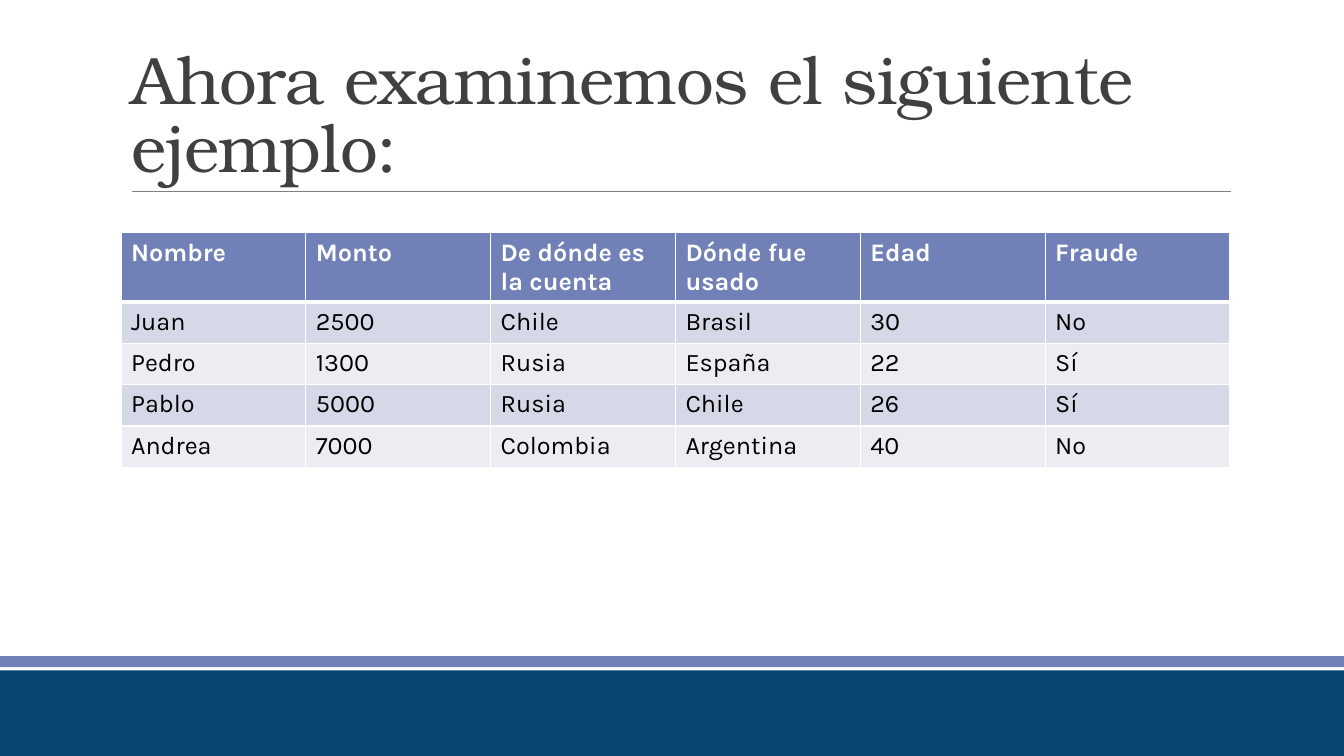
from dataclasses import dataclass

from lxml.etree import SubElement
from pptx import Presentation
from pptx.dml.color import RGBColor
from pptx.enum.shapes import MSO_CONNECTOR, MSO_SHAPE
from pptx.enum.text import MSO_ANCHOR, MSO_AUTO_SIZE, PP_ALIGN
from pptx.oxml.ns import qn
from pptx.util import Inches, Pt

TITLE = "Ahora examinemos el siguiente ejemplo:"
HEADERS = ["Nombre", "Monto", "De dónde es la cuenta", "Dónde fue usado", "Edad", "Fraude"]
TRANSACTIONS = [
    ["Juan", "2500", "Chile", "Brasil", "30", "No"],
    ["Pedro", "1300", "Rusia", "España", "22", "Sí"],
    ["Pablo", "5000", "Rusia", "Chile", "26", "Sí"],
    ["Andrea", "7000", "Colombia", "Argentina", "40", "No"],
]


@dataclass(frozen=True)
class Theme:
    heading_font: str = "TeX Gyre Bonum"
    body_font: str = "Karla"
    title_size: int = 48
    table_size: int = 18
    title: str = "404040"
    text: str = "000000"
    white: str = "FFFFFF"
    rule: str = "808080"
    accent: str = "7181B8"
    footer: str = "094571"
    bands: tuple = ("D5D8E6", "EBEDF3")


THEME = Theme()
LEFT, WIDTH = 1.2, 11
TABLE_TOP, HEADER_HEIGHT, ROW_HEIGHT = 2.31, 0.68, 0.41
SLIDE_WIDTH, SLIDE_HEIGHT = 13.33, 7.5
FOOTER_BARS = [(6.51, 0.11, THEME.accent), (6.65, 0.85, THEME.footer)]


def write_text(frame, text, *, font, size, color, bold=False, line_spacing=None, tracking=None):
    paragraph = frame.paragraphs[0]
    paragraph.alignment = PP_ALIGN.LEFT
    if line_spacing:
        paragraph.line_spacing = line_spacing
    run = paragraph.add_run()
    run.text = text
    run.font.name = font
    run.font.size = Pt(size)
    run.font.bold = bold
    run.font.color.rgb = RGBColor.from_string(color)
    if tracking:
        run.font._element.set("spc", str(int(tracking * 100)))


def add_footer_bar(slide, top, height, color):
    bar = slide.shapes.add_shape(
        MSO_SHAPE.RECTANGLE, 0, Inches(top), Inches(SLIDE_WIDTH), Inches(height))
    bar.shadow.inherit = False
    bar.fill.solid()
    bar.fill.fore_color.rgb = RGBColor.from_string(color)
    bar.line.fill.background()


def add_title_rule(slide):
    rule = slide.shapes.add_connector(
        MSO_CONNECTOR.STRAIGHT, Inches(1.31), Inches(1.9), Inches(12.21), Inches(1.9))
    rule.line.color.rgb = RGBColor.from_string(THEME.rule)
    rule.line.width = Pt(0.5)
    SubElement(rule._element.spPr, qn("a:effectLst"))


def set_title(slide):
    title = slide.shapes.title
    title.left, title.top = Inches(LEFT), Inches(0.31)
    title.width, title.height = Inches(WIDTH), Inches(1.59)
    frame = title.text_frame
    frame.word_wrap = True
    frame.auto_size = MSO_AUTO_SIZE.NONE
    frame.vertical_anchor = MSO_ANCHOR.BOTTOM
    write_text(frame, TITLE, font=THEME.heading_font, size=THEME.title_size,
               color=THEME.title, line_spacing=0.85, tracking=-0.5)


def set_borders(cell, top, bottom):
    properties = cell._tc.get_or_add_tcPr()
    for side, width in (("L", 1), ("R", 1), ("T", top), ("B", bottom)):
        border = SubElement(properties, qn(f"a:ln{side}"), w=str(Pt(width)))
        fill = SubElement(border, qn("a:solidFill"))
        SubElement(fill, qn("a:srgbClr"), val=THEME.white)


def add_transaction_table(slide):
    rows = [HEADERS, *TRANSACTIONS]
    heights = [HEADER_HEIGHT] + [ROW_HEIGHT] * len(TRANSACTIONS)
    table = slide.shapes.add_table(
        len(rows), len(HEADERS), Inches(LEFT), Inches(TABLE_TOP),
        Inches(WIDTH), Inches(sum(heights))).table
    for row_index, values in enumerate(rows):
        table.rows[row_index].height = Inches(heights[row_index])
        is_header = row_index == 0
        background = THEME.accent if is_header else THEME.bands[(row_index - 1) % 2]
        for column_index, value in enumerate(values):
            cell = table.cell(row_index, column_index)
            set_borders(cell, top=3 if row_index == 1 else 1, bottom=3 if is_header else 1)
            cell.fill.solid()
            cell.fill.fore_color.rgb = RGBColor.from_string(background)
            write_text(cell.text_frame, value, font=THEME.body_font, size=THEME.table_size,
                       color=THEME.white if is_header else THEME.text, bold=is_header)


def main():
    presentation = Presentation()
    presentation.slide_width = Inches(SLIDE_WIDTH)
    presentation.slide_height = Inches(SLIDE_HEIGHT)
    slide = presentation.slides.add_slide(presentation.slide_layouts[5])
    slide.background.fill.solid()
    slide.background.fill.fore_color.rgb = RGBColor.from_string(THEME.white)
    add_title_rule(slide)
    for top, height, color in FOOTER_BARS:
        add_footer_bar(slide, top, height, color)
    set_title(slide)
    add_transaction_table(slide)
    presentation.save("out.pptx")


if __name__ == "__main__":
    main()
